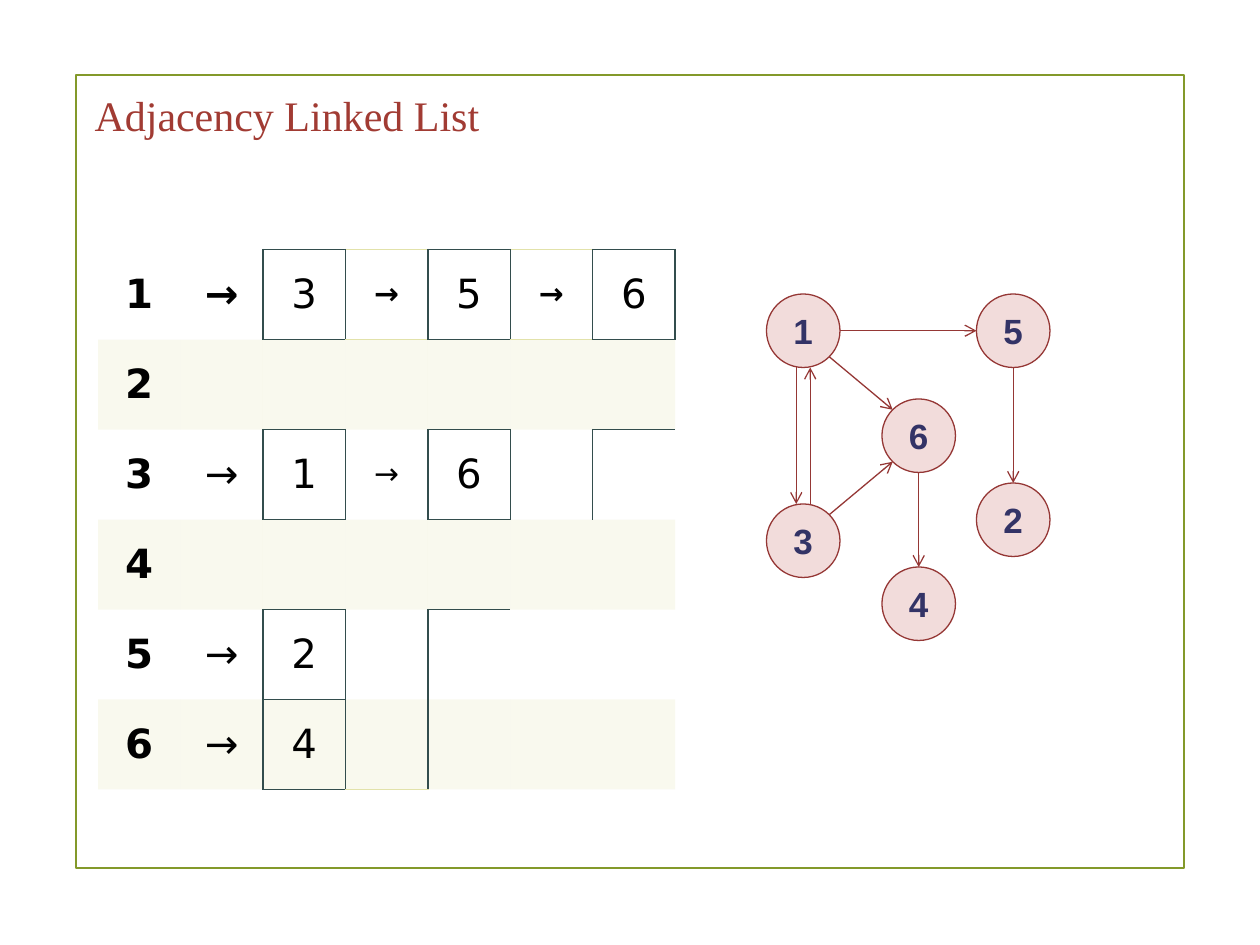
from dataclasses import dataclass
from math import copysign, hypot

from lxml.etree import SubElement
from pptx import Presentation
from pptx.dml.color import RGBColor
from pptx.enum.shapes import MSO_CONNECTOR, MSO_SHAPE
from pptx.enum.text import MSO_ANCHOR, PP_ALIGN
from pptx.oxml.ns import qn
from pptx.util import Pt


@dataclass(frozen=True)
class Theme:
    frame: str = "83992A"
    title: str = "A13B33"
    cell_text: str = "000000"
    box_border: str = "334D4D"
    pale: str = "E2E2AA"
    node_fill: str = "F2DCDB"
    node_line: str = "953735"
    node_text: str = "333366"
    title_font: str = "Times New Roman"
    table_font: str = "DejaVu Sans"
    node_font: str = "Arial"
    title_size: float = 24
    cell_size: float = 23
    link_size: float = 17
    node_size: float = 20


NO_STYLE_NO_GRID = "{2D5ABB26-0587-4C30-8999-92F81FD0307C}"
NEIGHBOURS = {"L": (0, -1), "R": (0, 1), "T": (-1, 0), "B": (1, 0)}

ADJACENCY = {1: [3, 5, 6], 2: [], 3: [1, 6], 4: [], 5: [2], 6: [4]}
NODE_CENTRES = {1: (459, 189), 2: (579, 297), 3: (459, 309),
                4: (525, 345), 6: (525, 249), 5: (579, 189)}
NODE_RADIUS = 21
PAIR_SHIFT = 4

TABLE_LEFT, TABLE_TOP = 56, 142.6
COLUMN_COUNT, COLUMN_WIDTH, ROW_HEIGHT = 7, 47.14, 51.43
PALE_EDGES = {(0, 3): "TB", (0, 5): "TB", (5, 3): "B"}


class SlideBuilder:
    def __init__(self, slide, theme):
        self.shapes = slide.shapes
        self.theme = theme

    def add_run(self, paragraph, text, font, size, color, bold=False):
        run = paragraph.add_run()
        run.text = text
        run.font.name = font
        run.font.size = Pt(size)
        run.font.bold = bold
        run.font.color.rgb = RGBColor.from_string(color)

    def set_margins(self, text_frame, top=0):
        text_frame.margin_left = text_frame.margin_right = 0
        text_frame.margin_top, text_frame.margin_bottom = Pt(top), 0

    def add_frame(self, left, top, width, height):
        shape = self.shapes.add_shape(
            MSO_SHAPE.RECTANGLE, Pt(left), Pt(top), Pt(width), Pt(height))
        shape.shadow.inherit = False
        shape.fill.background()
        shape.line.color.rgb = RGBColor.from_string(self.theme.frame)
        shape.line.width = Pt(1.2)

    def add_title(self, text, left, top, width, height):
        shape = self.shapes.add_textbox(Pt(left), Pt(top), Pt(width), Pt(height))
        text_frame = shape.text_frame
        text_frame.word_wrap = True
        self.set_margins(text_frame, top=2)
        self.add_run(text_frame.paragraphs[0], text, self.theme.title_font,
                     self.theme.title_size, self.theme.title)

    def add_node(self, label, center):
        x, y = center
        shape = self.shapes.add_shape(
            MSO_SHAPE.OVAL, Pt(x - NODE_RADIUS), Pt(y - NODE_RADIUS),
            Pt(2 * NODE_RADIUS), Pt(2 * NODE_RADIUS))
        shape.shadow.inherit = False
        shape.fill.solid()
        shape.fill.fore_color.rgb = RGBColor.from_string(self.theme.node_fill)
        shape.line.color.rgb = RGBColor.from_string(self.theme.node_line)
        shape.line.width = Pt(0.75)
        text_frame = shape.text_frame
        self.set_margins(text_frame)
        text_frame.vertical_anchor = MSO_ANCHOR.MIDDLE
        paragraph = text_frame.paragraphs[0]
        paragraph.alignment = PP_ALIGN.CENTER
        self.add_run(paragraph, label, self.theme.node_font,
                     self.theme.node_size, self.theme.node_text, bold=True)

    def add_edge(self, start, end, shift):
        """Join two nodes along the nearest compass direction, moved sideways by shift."""
        steps = [copysign(1, b - a) if a != b else 0 for a, b in zip(start, end)]
        length = hypot(*steps)
        dx, dy = (step / length for step in steps)
        points = []
        for (x, y), reach in ((start, NODE_RADIUS), (end, -NODE_RADIUS)):
            points += [Pt(x + dx * reach - dy * shift), Pt(y + dy * reach + dx * shift)]
        connector = self.shapes.add_connector(MSO_CONNECTOR.STRAIGHT, *points)
        connector.line.color.rgb = RGBColor.from_string(self.theme.node_line)
        connector.line.width = Pt(0.75)
        SubElement(connector.line._get_or_add_ln(), qn("a:tailEnd"), type="arrow")
        SubElement(connector._element.spPr, qn("a:effectLst"))

    def add_adjacency_table(self, adjacency):
        rows = len(adjacency)
        table_frame = self.shapes.add_table(
            rows, COLUMN_COUNT, Pt(TABLE_LEFT), Pt(TABLE_TOP),
            Pt(COLUMN_COUNT * COLUMN_WIDTH), Pt(rows * ROW_HEIGHT))
        table = table_frame.table
        table.first_row = table.horz_banding = False
        table._tbl.tblPr.find(qn("a:tableStyleId")).text = NO_STYLE_NO_GRID
        for column in table.columns:
            column.width = Pt(COLUMN_WIDTH)
        for row in table.rows:
            row.height = Pt(ROW_HEIGHT)

        boxes = {(row, 2 * position + 2)
                 for row, targets in enumerate(adjacency.values())
                 for position in range(len(targets))}
        for row, (node, targets) in enumerate(adjacency.items()):
            texts = [str(node)]
            for target in targets:
                texts += ["→", str(target)]
            for column in range(COLUMN_COUNT):
                cell = table.cell(row, column)
                self.add_borders(cell, row, column, boxes)
                self.fill_cell(cell, banded=row % 2 == 1)
                if column < len(texts):
                    self.write_cell(cell, texts[column], row, column)

    def write_cell(self, cell, text, row, column):
        is_arrow = text == "→"
        bold = column == 0 or (is_arrow and row == 0)
        size = self.theme.link_size if is_arrow and column > 1 else self.theme.cell_size
        cell.vertical_anchor = MSO_ANCHOR.MIDDLE
        paragraph = cell.text_frame.paragraphs[0]
        paragraph.alignment = PP_ALIGN.CENTER
        self.add_run(paragraph, text, self.theme.table_font, size,
                     self.theme.cell_text, bold)

    def fill_cell(self, cell, banded):
        if not banded:
            cell.fill.background()
            return
        cell.fill.solid()
        cell.fill.fore_color.rgb = RGBColor.from_string(self.theme.pale)
        color = cell._tc.tcPr.find(qn("a:solidFill")).find(qn("a:srgbClr"))
        SubElement(color, qn("a:alpha"), val="20000")

    def add_borders(self, cell, row, column, boxes):
        """Outline the boxed cells, on both sides of each shared edge."""
        properties = cell._tc.get_or_add_tcPr()
        for side, (down, right) in NEIGHBOURS.items():
            if (row, column) in boxes or (row + down, column + right) in boxes:
                color = self.theme.box_border
            elif side in PALE_EDGES.get((row, column), ""):
                color = self.theme.pale
            else:
                continue
            line = SubElement(properties, qn(f"a:ln{side}"), w=str(Pt(1)))
            fill = SubElement(line, qn("a:solidFill"))
            SubElement(fill, qn("a:srgbClr"), val=color)


def main():
    presentation = Presentation()
    presentation.slide_width, presentation.slide_height = Pt(720), Pt(540)
    slide = presentation.slides.add_slide(presentation.slide_layouts[6])
    builder = SlideBuilder(slide, Theme())

    builder.add_frame(43.4, 42.6, 633, 453.4)
    builder.add_title("Adjacency Linked List", 54, 49, 641, 53)
    builder.add_adjacency_table(ADJACENCY)
    for node, center in NODE_CENTRES.items():
        builder.add_node(str(node), center)
    for node, targets in ADJACENCY.items():
        for target in targets:
            shift = PAIR_SHIFT if node in ADJACENCY[target] else 0
            builder.add_edge(NODE_CENTRES[node], NODE_CENTRES[target], shift)

    presentation.save("out.pptx")


if __name__ == "__main__":
    main()
